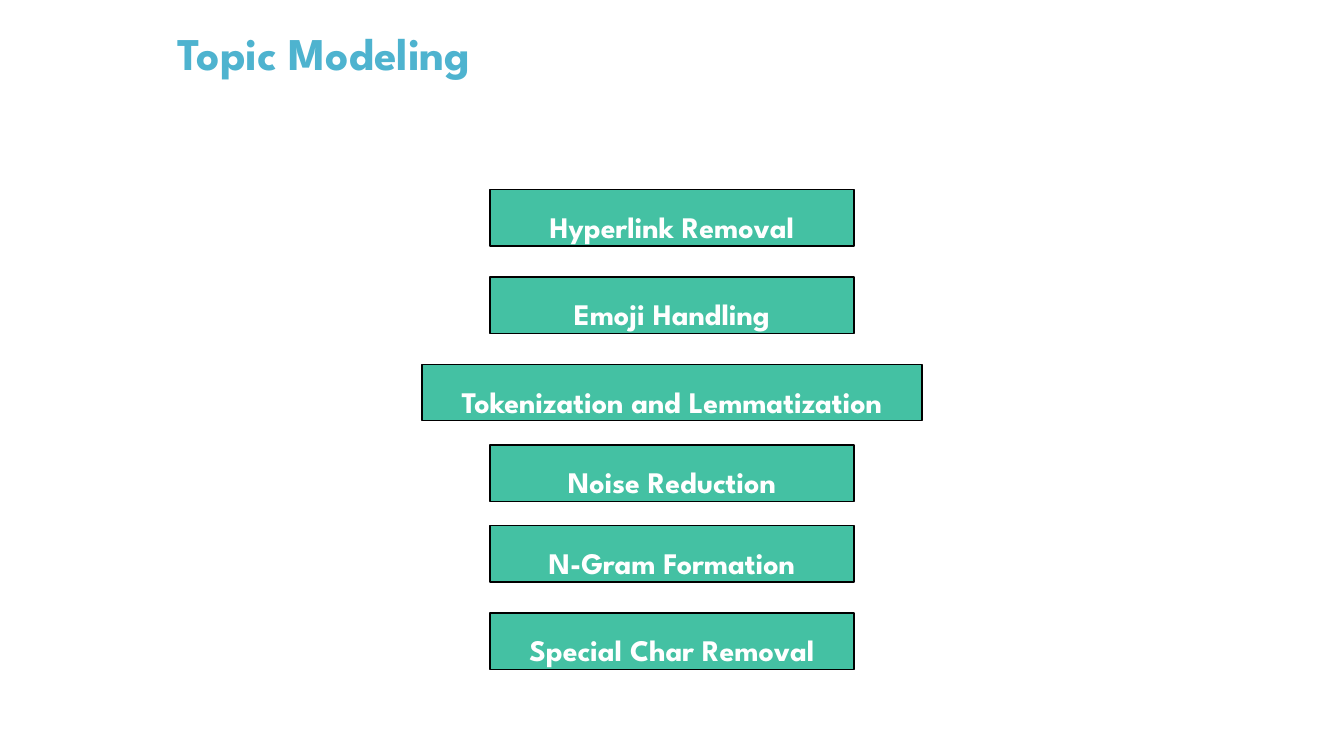
from pptx import Presentation
from pptx.dml.color import RGBColor
from pptx.enum.shapes import MSO_SHAPE
from pptx.enum.text import MSO_ANCHOR, PP_ALIGN
from pptx.util import Inches, Pt

FONT = "League Spartan"
BLUE = RGBColor(0x4E, 0xB3, 0xCF)
GREEN = RGBColor(0x44, 0xC1, 0xA3)
WHITE = RGBColor(0xFF, 0xFF, 0xFF)
BLACK = RGBColor(0x00, 0x00, 0x00)

# Widescreen page, 16:9
PAGE_WIDTH = 10
PAGE_HEIGHT = PAGE_WIDTH * 9 / 16
STEP_WIDTH, WIDE_STEP_WIDTH, STEP_HEIGHT = 2.71, 3.72, 0.42

# Label, top and width of each preprocessing step
STEPS = [
    ("Hyperlink Removal", 1.41, STEP_WIDTH),
    ("Emoji Handling", 2.06, STEP_WIDTH),
    ("Tokenization and Lemmatization", 2.71, WIDE_STEP_WIDTH),
    ("Noise Reduction", 3.31, STEP_WIDTH),
    ("N-Gram Formation", 3.91, STEP_WIDTH),
    ("Special Char Removal", 4.56, STEP_WIDTH),
]


def write_text(frame, text, size, color, line_spacing, align):
    frame.word_wrap = True
    para = frame.paragraphs[0]
    para.text = text
    para.alignment = align
    para.line_spacing = line_spacing
    para.font.name = FONT
    para.font.size = Pt(size)
    para.font.bold = True
    para.font.color.rgb = color


def set_margins(frame, left, top, right, bottom):
    frame.margin_left, frame.margin_top = Inches(left), Inches(top)
    frame.margin_right, frame.margin_bottom = Inches(right), Inches(bottom)


def add_title(page, text):
    box = page.shapes.add_textbox(Inches(1.25), Inches(0.32), Inches(7.5), Inches(0.57))
    frame = box.text_frame
    frame.vertical_anchor = MSO_ANCHOR.BOTTOM
    # The deep bottom margin keeps the title in the upper part of its box
    set_margins(frame, 0.07, 0, 0.07, 0.29)
    write_text(frame, text, 24.3, BLUE, 0.9, PP_ALIGN.LEFT)


def add_step(page, label, top, width):
    left = (PAGE_WIDTH - width) / 2
    box = page.shapes.add_shape(
        MSO_SHAPE.RECTANGLE, Inches(left), Inches(top), Inches(width), Inches(STEP_HEIGHT)
    )
    box.shadow.inherit = False
    box.fill.solid()
    box.fill.fore_color.rgb = GREEN
    box.line.color.rgb = BLACK
    box.line.width = Pt(0.75)
    frame = box.text_frame
    frame.vertical_anchor = MSO_ANCHOR.MIDDLE
    set_margins(frame, 0.1, 0.1, 0.1, 0.1)
    write_text(frame, label, 16, WHITE, 1.5, PP_ALIGN.CENTER)


def main():
    deck = Presentation()
    deck.slide_width, deck.slide_height = Inches(PAGE_WIDTH), Inches(PAGE_HEIGHT)
    page = deck.slides.add_slide(deck.slide_layouts[6])

    add_title(page, "Topic Modeling")
    for label, top, width in STEPS:
        add_step(page, label, top, width)

    deck.save("out.pptx")


if __name__ == "__main__":
    main()
